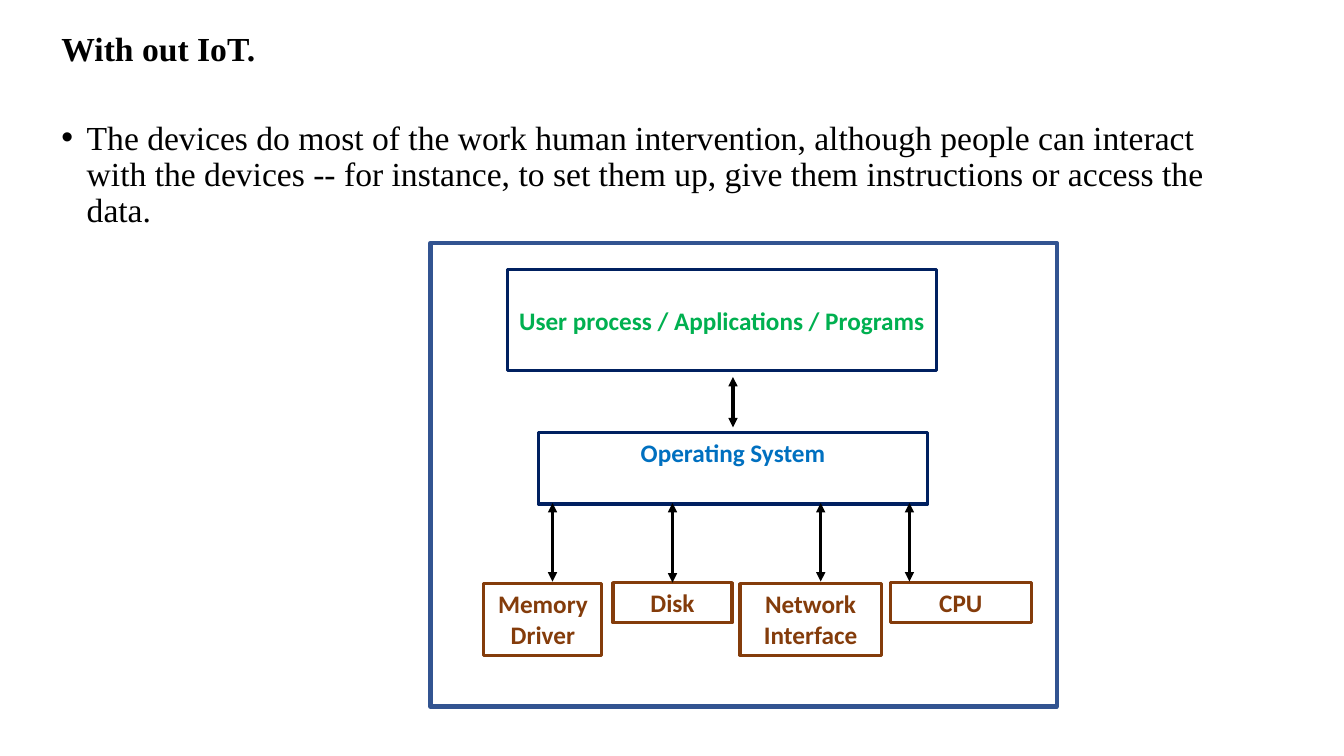
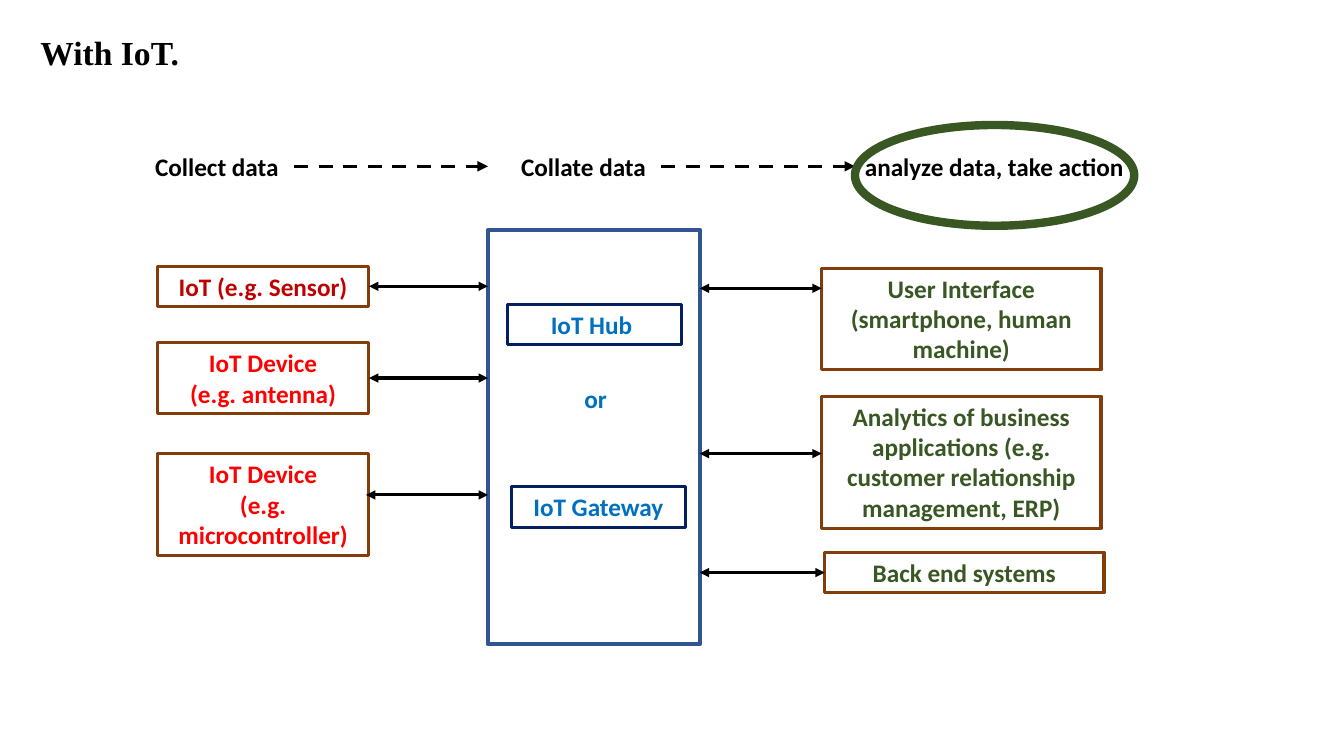
"""Build two slides comparing a system without IoT and one with IoT."""
from dataclasses import dataclass

from lxml.etree import SubElement
from pptx import Presentation
from pptx.dml.color import RGBColor
from pptx.enum.dml import MSO_LINE
from pptx.enum.shapes import MSO_CONNECTOR, MSO_SHAPE
from pptx.enum.text import MSO_ANCHOR, MSO_AUTO_SIZE, PP_ALIGN
from pptx.oxml.ns import qn
from pptx.util import Inches, Pt


@dataclass(frozen=True)
class Theme:
    """Colours, fonts, type sizes and line widths of the deck."""
    black: str = "000000"
    navy: str = "002060"
    blue: str = "0070C0"
    panel: str = "325491"
    brown: str = "843C0B"
    green: str = "00B050"
    forest: str = "385723"
    crimson: str = "C00000"
    red: str = "FF0000"
    heading_font: str = "Times New Roman"
    label_font: str = "Calibri"
    heading_size: float = 24
    label_size: float = 18
    box_line: float = 2.25
    dash_line: float = 2.5
    panel_line: float = 3
    ring_line: float = 6


THEME = Theme()
TOP, RIGHT, LEFT = 0, 3, 1


def write(frame, text, *, size=THEME.label_size, font=THEME.label_font,
          color=THEME.black, bold=True, align=PP_ALIGN.CENTER,
          anchor=MSO_ANCHOR.TOP, spacing=None):
    """Fill a text frame with text, one paragraph per line, in one format."""
    frame.text = text
    frame.word_wrap = True
    frame.auto_size = MSO_AUTO_SIZE.NONE
    frame.vertical_anchor = anchor
    for paragraph in frame.paragraphs:
        paragraph.alignment = align
        if spacing:
            paragraph.line_spacing = spacing
        for run in paragraph.runs:
            run.font.size = Pt(size)
            run.font.name = font
            run.font.bold = bold
            run.font.color.rgb = RGBColor.from_string(color)


def fill_placeholder(placeholder, text, left, top, width, height, bold):
    """Move a title or body placeholder and write its heading-style text."""
    placeholder.left, placeholder.top = Inches(left), Inches(top)
    placeholder.width, placeholder.height = Inches(width), Inches(height)
    write(placeholder.text_frame, text, size=THEME.heading_size,
          font=THEME.heading_font, bold=bold, align=PP_ALIGN.LEFT, spacing=0.9)


def add_titled_slide(deck, layout_name, title, left, top):
    """Add a slide with its title at the given place."""
    slide = deck.slides.add_slide(deck.slide_layouts.get_by_name(layout_name))
    fill_placeholder(slide.shapes.title, title, left, top, 2.28, 0.62, True)
    return slide


def add_bullet(slide, text, left, top, width, height):
    """Write one bulleted paragraph in the body placeholder."""
    body = slide.placeholders[1]
    fill_placeholder(body, text, left, top, width, height, False)
    properties = body.text_frame.paragraphs[0]._p.get_or_add_pPr()
    properties.set("marL", str(Inches(0.25)))
    properties.set("indent", str(-Inches(0.25)))
    SubElement(properties, qn("a:buFont"), typeface="Arial")
    SubElement(properties, qn("a:buChar"), char="•")


def add_outline(slide, left, top, width, height, color,
                weight=THEME.box_line, kind=MSO_SHAPE.RECTANGLE):
    """Add an unfilled shape with a coloured outline."""
    outline = slide.shapes.add_shape(
        kind, Inches(left), Inches(top), Inches(width), Inches(height))
    outline.shadow.inherit = False
    outline.fill.background()
    outline.line.color.rgb = RGBColor.from_string(color)
    outline.line.width = Pt(weight)
    return outline


def add_box(slide, text, left, top, width, height, line, color, **text_format):
    """Add an outlined rectangle with a text label."""
    box = add_outline(slide, left, top, width, height, line)
    write(box.text_frame, text, color=color, **text_format)
    return box


def add_label(slide, text, left, top, width, **text_format):
    """Add a one-line text label without an outline."""
    label = slide.shapes.add_textbox(
        Inches(left), Inches(top), Inches(width), Inches(0.4))
    write(label.text_frame, text, **text_format)


def add_arrow(slide, start, end, begin=None, finish=None,
              both=True, dashed=False):
    """Add an arrow, joined to a (shape, site) pair where one is given."""
    arrow = slide.shapes.add_connector(
        MSO_CONNECTOR.STRAIGHT, *(Inches(n) for n in (*start, *end)))
    if begin:
        arrow.begin_connect(*begin)
    if finish:
        arrow.end_connect(*finish)
    arrow.line.color.rgb = RGBColor.from_string(THEME.black)
    arrow.line.width = Pt(THEME.dash_line if dashed else THEME.box_line)
    if dashed:
        arrow.line.dash_style = MSO_LINE.DASH
    stroke = arrow.line._get_or_add_ln()
    for tag in ("a:headEnd", "a:tailEnd") if both else ("a:tailEnd",):
        SubElement(stroke, qn(tag), type="triangle")
    SubElement(arrow._element.spPr, qn("a:effectLst"))


def build_without_iot(deck):
    """Build the slide with the layers of a conventional system."""
    slide = add_titled_slide(
        deck, "Title and Content", "With out IoT.", 0.51, 0.27)
    add_bullet(
        slide,
        "The devices do most of the work human intervention, although people "
        "can interact with the devices -- for instance, to set them up, give "
        "them instructions or access the data.", 0.51, 1.15, 11.88, 1.38)
    add_outline(slide, 4.27, 2.41, 6.21, 4.6, THEME.panel, THEME.panel_line)
    add_box(slide, "User process / Applications / Programs",
            5.03, 2.67, 4.26, 1.01, THEME.navy, THEME.green,
            anchor=MSO_ANCHOR.MIDDLE)
    add_box(slide, "Operating System",
            5.34, 4.29, 3.86, 0.71, THEME.navy, THEME.blue)
    add_arrow(slide, (7.27, 4.24), (7.27, 3.74))

    hardware = (
        ("Memory Driver", 4.8, 5.79, 1.17, 0.71, 5.48),
        ("Disk", 6.08, 5.78, 1.18, 0.4, 6.67),
        ("Network Interface", 7.34, 5.79, 1.4, 0.71, 8.14),
        ("CPU", 8.83, 5.78, 1.4, 0.4, 9.02),
    )
    for name, left, top, width, height, arrow_x in hardware:
        part = add_box(slide, name, left, top, width, height,
                       THEME.brown, THEME.brown)
        centred = abs(left + width / 2 - arrow_x) < 0.01
        add_arrow(slide, (arrow_x, 5.77), (arrow_x, 4.99),
                  begin=(part, TOP) if centred else None)


def build_with_iot(deck):
    """Build the slide with the flow from devices through a hub to users."""
    slide = add_titled_slide(deck, "Title Only", "With IoT.", 0.3, 0.31)
    add_outline(slide, 4.84, 2.28, 2.1, 4.11, THEME.panel, THEME.panel_line)
    for name, left, top in (("IoT Hub ", 5.03, 3.02),
                            ("IoT Gateway", 5.07, 4.83)):
        add_box(slide, name, left, top, 1.73, 0.4, THEME.navy, THEME.blue)
    add_label(slide, "or ", 5.07, 3.75, 1.73, color=THEME.blue)

    for stage, left, width in (("Collect data", 1.44, 2.1),
                               ("Collate data", 5.07, 2.1),
                               ("analyze data, take action", 8.48, 2.77)):
        add_label(slide, stage, left, 1.45, width, align=PP_ALIGN.LEFT)
    for arrow_x in (2.92, 6.56):
        add_arrow(slide, (arrow_x, 1.65), (arrow_x + 1.92, 1.65),
                  both=False, dashed=True)
    add_outline(slide, 8.48, 1.24, 2.77, 1, THEME.forest,
                THEME.ring_line, MSO_SHAPE.OVAL)

    devices = (
        ("IoT (e.g. Sensor)", 2.64, 0.4, THEME.crimson, 2.84),
        ("IoT Device\n(e.g. antenna)", 3.4, 0.7, THEME.red, 3.75),
        ("IoT Device\n(e.g. microcontroller)", 4.5, 1.01, THEME.red, 4.91),
    )
    for name, top, height, color, arrow_y in devices:
        device = add_box(slide, name, 1.56, top, 2.1, height,
                         THEME.brown, color)
        centred = abs(top + height / 2 - arrow_y) < 0.01
        add_arrow(slide, (3.63, arrow_y), (4.84, arrow_y),
                  begin=(device, RIGHT) if centred else None)

    consumers = (
        ("User Interface (smartphone, human machine)", 8.15, 2.66, 1.01, 2.86),
        ("Analytics of business applications (e.g. customer relationship "
         "management, ERP)", 8.15, 3.93, 1.31, 4.5),
        ("Back end systems", 8.18, 5.48, 0.4, 5.68),
    )
    for name, left, top, height, arrow_y in consumers:
        consumer = add_box(slide, name, left, top, 2.77, height,
                           THEME.brown, THEME.forest)
        centred = abs(top + height / 2 - arrow_y) < 0.01
        add_arrow(slide, (6.94, arrow_y), (8.15, arrow_y),
                  finish=(consumer, LEFT) if centred else None)


def main():
    """Create the deck and save it."""
    deck = Presentation()
    deck.slide_width, deck.slide_height = Inches(13.33), Inches(7.5)
    build_without_iot(deck)
    build_with_iot(deck)
    deck.save("out.pptx")


if __name__ == "__main__":
    main()
